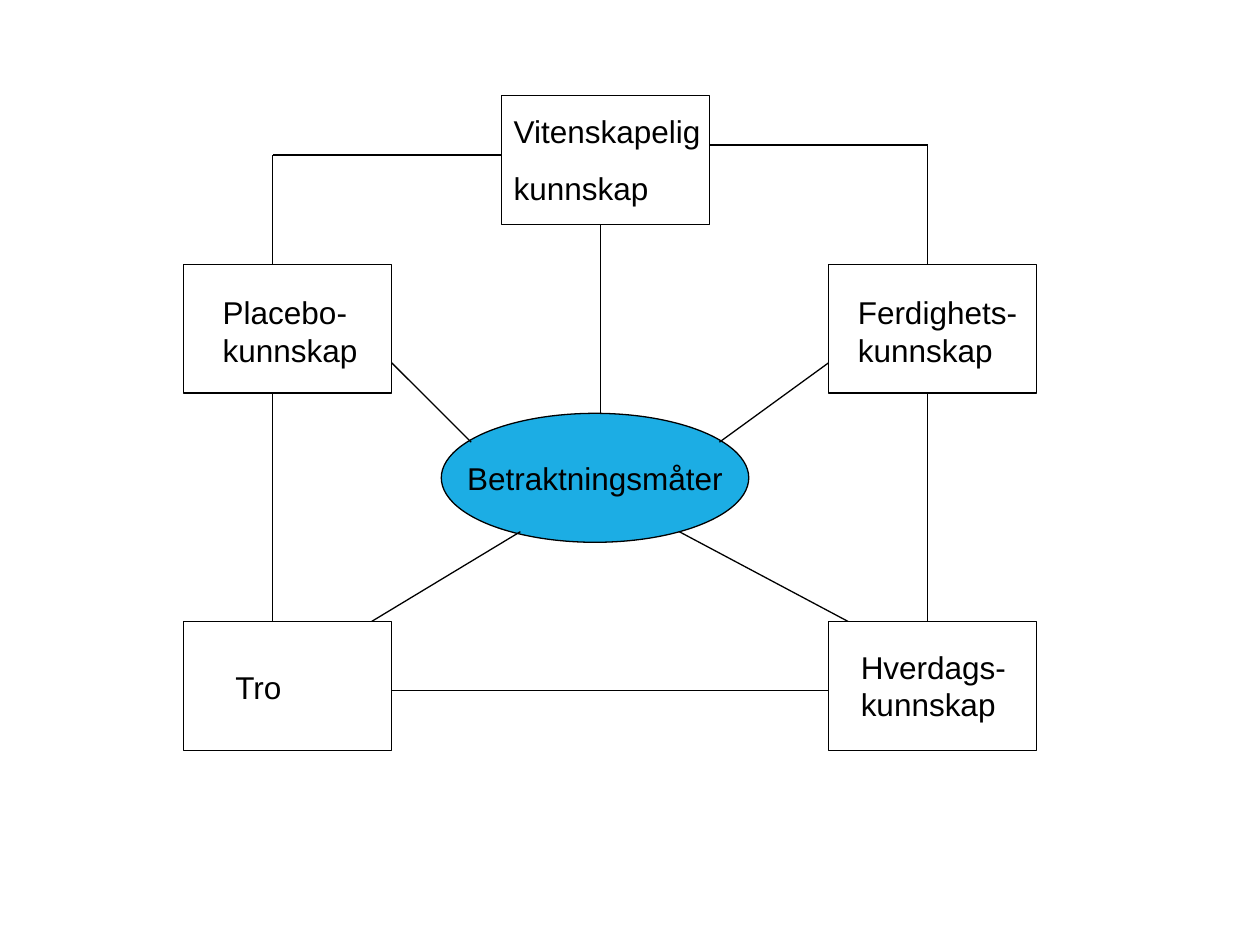
from pptx import Presentation
from pptx.dml.color import RGBColor
from pptx.enum import shapes, text
from pptx.oxml.ns import qn
from pptx.util import Pt
from lxml import etree

BLACK = "000000"
BLUE = "1CADE4"
BOX_W, BOX_H = 119, 73.7

# Box grid: two outer columns, and one box at the top
LEFT, CENTRE, RIGHT = 104.9, 286.4, 473.4
TOP, UPPER, LOWER = 54.6, 151, 355.1


def color(hex_code):
    return RGBColor.from_string(hex_code)


def write(frame, words, wrap=False, space_before=0, align=text.PP_ALIGN.LEFT):
    frame.text = words
    frame.word_wrap = wrap
    for paragraph in frame.paragraphs:
        paragraph.alignment = align
        paragraph.space_before = Pt(space_before)
        for run in paragraph.runs:
            run.font.name = "Arial"
            run.font.size = Pt(18)
            run.font.color.rgb = color(BLACK)


def add_outline(slide, kind, box, fill=None):
    shape = slide.shapes.add_shape(kind, *map(Pt, box))
    shape.shadow.inherit = False
    if fill:
        shape.fill.solid()
        shape.fill.fore_color.rgb = color(fill)
    else:
        shape.fill.background()
    shape.line.color.rgb = color(BLACK)
    shape.line.width = Pt(0.75)
    return shape


def add_knowledge(slide, box, words, label_box, **style):
    """A framed kind of knowledge; label_box is relative to the frame."""
    left, top = box[:2]
    dx, dy, width, height = label_box
    label = slide.shapes.add_textbox(Pt(left + dx), Pt(top + dy), Pt(width), Pt(height))
    write(label.text_frame, words, **style)
    add_outline(slide, shapes.MSO_SHAPE.RECTANGLE, box)


def add_hub(slide, box, words):
    hub = add_outline(slide, shapes.MSO_SHAPE.OVAL, box, BLUE)
    hub.text_frame.vertical_anchor = text.MSO_ANCHOR.MIDDLE
    write(hub.text_frame, words, align=text.PP_ALIGN.CENTER)


def add_path(slide, *points):
    """Straight lines through the points, one after another."""
    for start, end in zip(points, points[1:]):
        line = slide.shapes.add_connector(
            shapes.MSO_CONNECTOR.STRAIGHT, *map(Pt, start + end))
        line.line.color.rgb = color(BLACK)
        line.line.width = Pt(0.75)
        etree.SubElement(line._element.spPr, qn("a:effectLst"))


def add_links(slide):
    left_x, right_x = 155.9, 530.1
    left_edge, right_edge = LEFT + BOX_W, RIGHT
    upper_end = UPPER + BOX_H

    # Outer ring
    add_path(slide, (left_x, UPPER), (left_x, 88.6), (CENTRE, 88.6))
    add_path(slide, (CENTRE + BOX_W, 82.8), (right_x, 82.8), (right_x, UPPER))
    for x in (left_x, right_x):
        add_path(slide, (x, upper_end), (x, LOWER))
    add_path(slide, (left_edge, 394.6), (right_edge, 394.6))

    # Spokes to the hub
    add_path(slide, (343, TOP + BOX_H), (343, 236.2))
    add_path(slide, (left_edge, 207.4), (269.3, 252.7))
    add_path(slide, (right_edge, 207.4), (411.1, 252.7))
    add_path(slide, (297.4, 303.8), (212.4, LOWER))
    add_path(slide, (388.1, 303.8), (484.6, LOWER))


def main():
    prs = Presentation()
    prs.slide_width, prs.slide_height = Pt(720), Pt(540)
    slide = prs.slides.add_slide(prs.slide_layouts[6])

    # Kinds of knowledge
    add_knowledge(slide, (CENTRE, TOP, BOX_W, BOX_H), "Vitenskapelig\nkunnskap",
                  (0, 5.8, 130.3, 61.9), wrap=True, space_before=11.2)
    for left, top, words, label_box in (
        (RIGHT, UPPER, "Ferdighets-\nkunnskap", (9.7, 13, 109, 50.4)),
        (RIGHT, LOWER, "Hverdags-\nkunnskap", (11.4, 11.4, 100, 50.4)),
        (LEFT, LOWER, "Tro", (22.5, 22.9, 44, 28.8)),
        (LEFT, UPPER, "Placebo-\nkunnskap", (15.3, 13, 95, 50.4)),
    ):
        add_knowledge(slide, (left, top, BOX_W, BOX_H), words, label_box, wrap=True)

    add_hub(slide, (252.2, 236.2, 175.7, BOX_H), "Betraktningsmåter")
    add_links(slide)
    prs.save("out.pptx")


if __name__ == "__main__":
    main()
